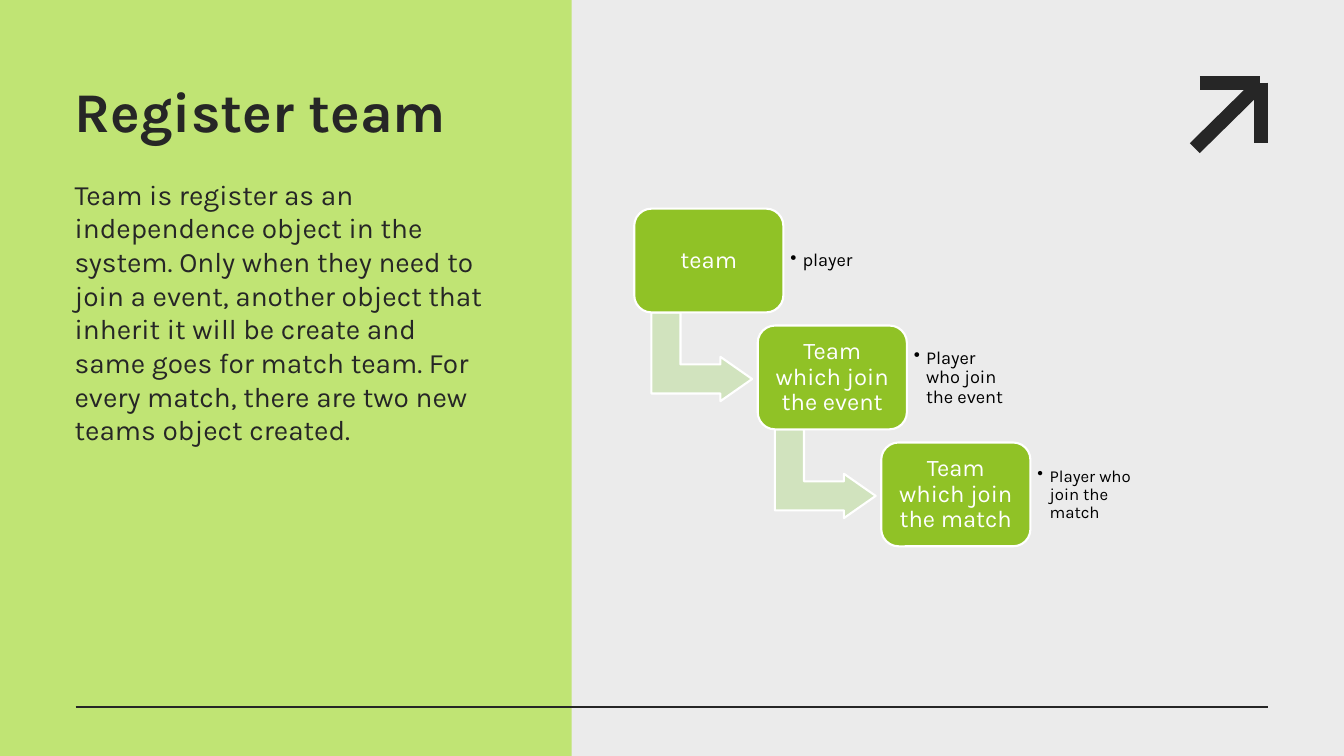
from lxml import etree
from pptx import Presentation
from pptx.dml.color import RGBColor
from pptx.enum.shapes import MSO_CONNECTOR, MSO_SHAPE
from pptx.enum.text import MSO_ANCHOR, PP_ALIGN
from pptx.oxml.ns import qn
from pptx.util import Inches, Pt

RECTANGLE = MSO_SHAPE.RECTANGLE
ROUNDED = MSO_SHAPE.ROUNDED_RECTANGLE
BENT_ARROW = MSO_SHAPE.BENT_UP_ARROW
STRAIGHT = MSO_CONNECTOR.STRAIGHT
MIDDLE, TOP = MSO_ANCHOR.MIDDLE, MSO_ANCHOR.TOP
LEFT, CENTER = PP_ALIGN.LEFT, PP_ALIGN.CENTER

FONT = "Karla"
GRAY = RGBColor(0xEB, 0xEB, 0xEB)
LIME = RGBColor(0xC0, 0xE4, 0x74)
GREEN = RGBColor(0x90, 0xC2, 0x26)
PALE_GREEN = RGBColor(0xD1, 0xE3, 0xBE)
DARK = RGBColor(0x26, 0x26, 0x26)
WHITE = RGBColor(0xFF, 0xFF, 0xFF)
BLACK = RGBColor(0x00, 0x00, 0x00)

TITLE = "Register team"
BODY = (
    "Team is register as an independence object in the system. "
    "Only when they need to join a event, another object that inherit it "
    "will be create and same goes for match team. For every match, "
    "there are two new teams object created."
)
# Step label, bullet text, bullet size
STEPS = [
    ("team", "player", 13),
    ("Team which join the event", "Player who join the event", 13),
    ("Team which join the match", "Player who join the match", 12),
]
STEP_LEFT, STEP_TOP = 6.29, 2.07
STEP_WIDTH, STEP_HEIGHT = 1.48, 1.03
STEP_RIGHT, STEP_DOWN = 1.225, 1.16


def add_line(page, start, end, width):
    line = page.shapes.add_connector(
        STRAIGHT, *(Inches(value) for value in start + end))
    line.line.color.rgb = DARK
    line.line.width = Pt(width)
    etree.SubElement(line._element.spPr, qn("a:effectLst"))


def add_block(page, kind, box, fill, outline=None):
    shape = page.shapes.add_shape(kind, *(Inches(value) for value in box))
    shape.shadow.inherit = False
    shape.fill.solid()
    shape.fill.fore_color.rgb = fill
    if outline is None:
        shape.line.fill.background()
    else:
        shape.line.color.rgb = outline
        shape.line.width = Pt(1.5)
    return shape


def set_frame(shape, anchor, inset):
    frame = shape.text_frame
    frame.word_wrap = True
    frame.vertical_anchor = anchor
    frame.margin_left = frame.margin_right = Inches(inset)
    frame.margin_top = frame.margin_bottom = Inches(inset)
    return frame


def write(para, text, size, color, align=LEFT, bold=False, spacing=1.0):
    para.text = text
    para.alignment = align
    para.line_spacing = spacing
    para.font.name = FONT
    para.font.size = Pt(size)
    para.font.bold = bold
    para.font.color.rgb = color


def add_text_box(page, box, anchor, inset):
    shape = page.shapes.add_textbox(*(Inches(value) for value in box))
    return set_frame(shape, anchor, inset)


def add_bullet(para):
    props = para._p.get_or_add_pPr()
    props.set("marL", str(Inches(0.12)))
    props.set("indent", str(Inches(-0.12)))
    etree.SubElement(props, qn("a:buChar")).set("char", "•")


def add_step_arrow(page, left, top):
    arrow = add_block(page, BENT_ARROW, (left + 0.23, top + 0.97, 0.88, 1),
                      PALE_GREEN, WHITE)
    arrow.rotation = 90
    for index, value in enumerate((0.328, 0.25, 0.358)):
        arrow.adjustments[index] = value


def add_step(page, left, top, label, detail, detail_size):
    block = add_block(page, ROUNDED, (left, top, STEP_WIDTH, STEP_HEIGHT),
                      GREEN, WHITE)
    frame = set_frame(block, MIDDLE, 0.07)
    write(frame.paragraphs[0], label, 17, WHITE, CENTER, spacing=0.9)

    frame = add_text_box(page, (left + STEP_WIDTH, top + 0.1, 1.07, 0.84),
                         MIDDLE, 0.07)
    para = frame.paragraphs[0]
    write(para, detail, detail_size, BLACK, spacing=0.9)
    add_bullet(para)


def add_intro(page):
    frame = add_text_box(page, (0.74, 0.76, 4.14, 5), TOP, 0)
    write(frame.paragraphs[0], TITLE, 40, DARK, bold=True)
    body = frame.add_paragraph()
    write(body, BODY, 20, DARK)
    body.space_before = Pt(24)


def main():
    deck = Presentation()
    deck.slide_width, deck.slide_height = Inches(13.33), Inches(7.5)
    page = deck.slides.add_slide(deck.slide_layouts[6])
    page.background.fill.solid()
    page.background.fill.fore_color.rgb = GRAY

    # Corner arrow
    add_line(page, (11.9, 0.82), (12.5, 0.82), 10)
    add_line(page, (12.51, 0.82), (12.51, 1.42), 10)
    add_line(page, (11.85, 1.47), (12.44, 0.89), 10)

    # Left panel, footer rule and text
    add_block(page, RECTANGLE, (0, 0, 5.67, 7.5), LIME)
    add_line(page, (0.75, 7.01), (12.58, 7.01), 1.5)
    add_intro(page)

    # Descending steps, each but the last with an arrow to the next
    for index, (label, detail, size) in enumerate(STEPS):
        left = STEP_LEFT + index * STEP_RIGHT
        top = STEP_TOP + index * STEP_DOWN
        if index < len(STEPS) - 1:
            add_step_arrow(page, left, top)
        add_step(page, left, top, label, detail, size)

    deck.save("out.pptx")


if __name__ == "__main__":
    main()
